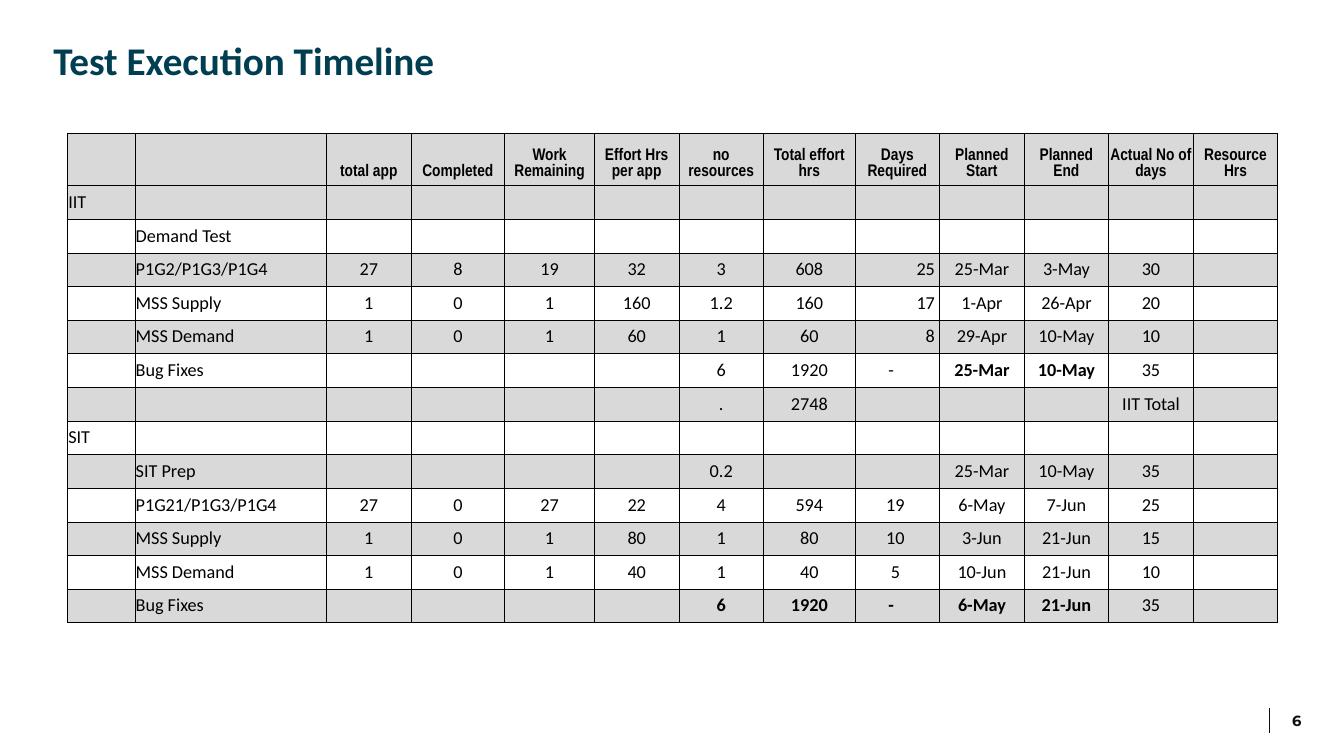
from lxml import etree
from pptx import Presentation
from pptx.dml.color import RGBColor
from pptx.enum.shapes import MSO_CONNECTOR
from pptx.enum.text import MSO_ANCHOR, MSO_AUTO_SIZE, PP_ALIGN
from pptx.oxml.ns import qn
from pptx.util import Cm, Pt

STRAIGHT = MSO_CONNECTOR.STRAIGHT
TOP, MIDDLE, BOTTOM = MSO_ANCHOR.TOP, MSO_ANCHOR.MIDDLE, MSO_ANCHOR.BOTTOM
NO_AUTOFIT = MSO_AUTO_SIZE.NONE
LEFT, CENTER, RIGHT = PP_ALIGN.LEFT, PP_ALIGN.CENTER, PP_ALIGN.RIGHT

TEAL = RGBColor(0x00, 0x3E, 0x51)
BLACK = RGBColor(0x00, 0x00, 0x00)
INK = RGBColor(0x0C, 0x0C, 0x0C)
WHITE = RGBColor(0xFF, 0xFF, 0xFF)
GREY = RGBColor(0xD9, 0xD9, 0xD9)

COLUMN_WIDTHS = [1.7, 4.83, 2.13, 2.36, 2.26, 2.13, 2.13, 2.31] + [2.13] * 5
HEADER_HEIGHT = 1.32
DAYS_REQUIRED = 8
HEADINGS = ["", "", "total app", "Completed", "Work Remaining", "Effort Hrs per app",
            "no resources", "Total effort hrs", "Days Required", "Planned Start",
            "Planned End", "Actual No of days", "Resource Hrs"]
SCHEDULE = [
    HEADINGS,
    ["IIT"] + [""] * 12,
    ["", "Demand Test"] + [""] * 11,
    ["", "P1G2/P1G3/P1G4", "27", "8", "19", "32", "3", "608", "25", "25-Mar", "3-May", "30", ""],
    ["", "MSS Supply", "1", "0", "1", "160", "1.2", "160", "17", "1-Apr", "26-Apr", "20", ""],
    ["", "MSS Demand", "1", "0", "1", "60", "1", "60", "8", "29-Apr", "10-May", "10", ""],
    ["", "Bug Fixes", "", "", "", "", "6", "1920", "-", "25-Mar", "10-May", "35", ""],
    ["", "", "", "", "", "", ".", "2748", "", "", "", "IIT Total", ""],
    ["SIT"] + [""] * 12,
    ["", "SIT Prep", "", "", "", "", "0.2", "", "", "25-Mar", "10-May", "35", ""],
    ["", "P1G21/P1G3/P1G4", "27", "0", "27", "22", "4", "594", "19", "6-May", "7-Jun", "25", ""],
    ["", "MSS Supply", "1", "0", "1", "80", "1", "80", "10", "3-Jun", "21-Jun", "15", ""],
    ["", "MSS Demand", "1", "0", "1", "40", "1", "40", "5", "10-Jun", "21-Jun", "10", ""],
    ["", "Bug Fixes", "", "", "", "", "6", "1920", "-", "6-May", "21-Jun", "35", ""],
]
BOLD_COLUMNS = {0: range(13), 6: range(9, 11), 13: range(6, 11)}
RIGHT_ALIGNED_ROWS = range(3, 6)


def style_font(font, name, size, color, bold):
    """Set the face, size, colour and weight of a font."""
    font.name, font.size, font.bold = name, Pt(size), bold
    font.color.rgb = color


def add_title(slide, left, top, width, height):
    """Place and format the slide title."""
    title = slide.shapes.title
    title.left, title.top, title.width, title.height = map(Cm, (left, top, width, height))
    frame = title.text_frame
    frame.text = "Test Execution Timeline"
    frame.word_wrap = True
    frame.auto_size = NO_AUTOFIT
    frame.vertical_anchor = TOP
    heading = frame.paragraphs[0]
    heading.alignment = LEFT
    heading.line_spacing = 0.9
    style_font(heading.font, "Calibri", 28, TEAL, True)


def add_borders(cell):
    """Draw a thin black line on all four sides of a cell."""
    properties = cell._tc.get_or_add_tcPr()
    for side in ("a:lnL", "a:lnR", "a:lnT", "a:lnB"):
        border = etree.SubElement(properties, qn(side), w=str(Pt(0.5)))
        fill = etree.SubElement(border, qn("a:solidFill"))
        etree.SubElement(fill, qn("a:srgbClr"), val=str(BLACK))


def fill_cell(cell, text, row, column):
    """Write one schedule entry with its alignment, weight and shading."""
    add_borders(cell)
    cell.fill.solid()
    cell.fill.fore_color.rgb = GREY if row == 0 or row % 2 else WHITE
    cell.margin_left = cell.margin_top = cell.margin_right = Cm(0.02)
    cell.margin_bottom = Cm(0.15)
    cell.vertical_anchor = BOTTOM
    if column == DAYS_REQUIRED and row > 0:
        cell.margin_right = Cm(0.33 if text == "-" else 0.12)
    cell.text = text
    entry = cell.text_frame.paragraphs[0]
    entry.alignment = LEFT if column < 2 else CENTER
    if column == DAYS_REQUIRED and row in RIGHT_ALIGNED_ROWS:
        entry.alignment = RIGHT
    face, size = ("Arial Narrow", 12) if row == 0 else ("Calibri", 13)
    style_font(entry.font, face, size, BLACK, column in BOLD_COLUMNS.get(row, ()))
    if not text:
        etree.SubElement(entry._p, qn("a:endParaRPr"), sz=str(size * 100))


def add_schedule(slide, left, top, width, height):
    """Build the test schedule table inside the given box."""
    schedule = slide.shapes.add_table(
        len(SCHEDULE), len(HEADINGS), Cm(left), Cm(top), Cm(width), Cm(height)).table
    schedule.first_row = schedule.horz_banding = False
    for column, share in zip(schedule.columns, COLUMN_WIDTHS):
        column.width = Cm(width * share / sum(COLUMN_WIDTHS))
    entry_height = (height - HEADER_HEIGHT) / (len(SCHEDULE) - 1)
    for row, entries in enumerate(SCHEDULE):
        schedule.rows[row].height = Cm(entry_height if row else HEADER_HEIGHT)
        for column, text in enumerate(entries):
            fill_cell(schedule.cell(row, column), text, row, column)


def add_page_number(slide, left, top, width, height):
    """Place the page number and the rule at its left."""
    rule_x = Cm(left + 0.43)
    rule = slide.shapes.add_connector(
        STRAIGHT, rule_x, Cm(top + 0.18), rule_x, Cm(top + 0.82))
    rule.line.color.rgb = INK
    rule.line.width = Pt(0.25)
    etree.SubElement(rule._element.spPr, qn("a:effectLst"))
    page_number = slide.shapes.add_textbox(Cm(left), Cm(top), Cm(width), Cm(height))
    frame = page_number.text_frame
    frame.text = "6"
    frame.word_wrap = True
    frame.vertical_anchor = MIDDLE
    number = frame.paragraphs[0]
    number.alignment = RIGHT
    number.space_after = Pt(6)
    style_font(number.font, "Montserrat", 10.5, INK, True)


def main():
    """Build the timeline slide and save it."""
    deck = Presentation()
    deck.slide_width, deck.slide_height = Cm(33.87), Cm(19.05)
    slide = deck.slides.add_slide(deck.slide_layouts[5])
    add_title(slide, 1.09, 0.91, 19.15, 1.6)
    add_schedule(slide, 1.7, 3.36, 30.5, 12.34)
    add_page_number(slide, 31.55, 17.65, 1.5, 1.02)
    deck.save("out.pptx")


if __name__ == "__main__":
    main()
